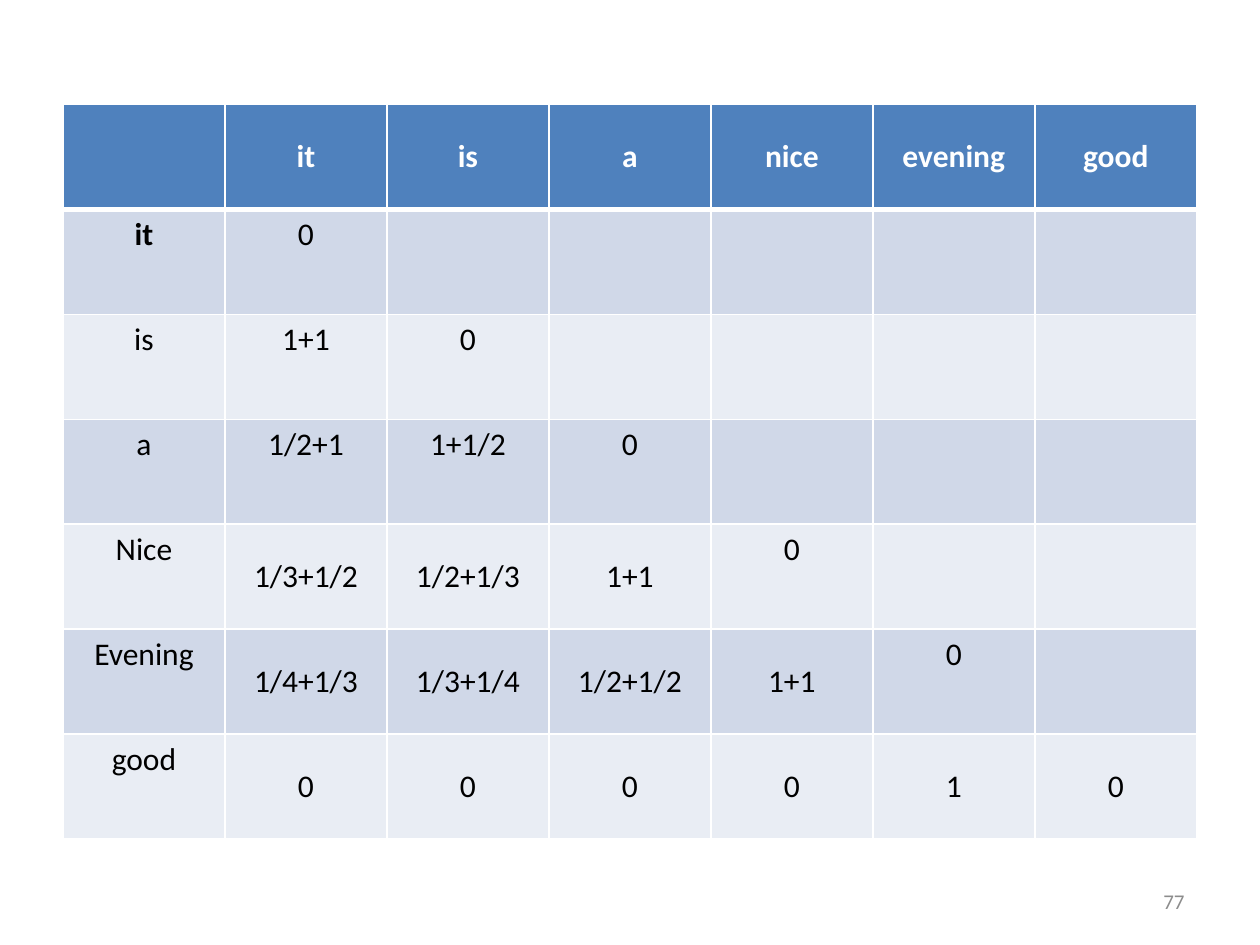
from lxml import etree
from pptx import Presentation
from pptx import util as u
from pptx.dml.color import RGBColor
from pptx.enum import text
from pptx.oxml import ns

COLORS = {
    "header": "4F81BD",
    "odd": "D0D8E8",
    "even": "E9EDF4",
    "white": "FFFFFF",
    "black": "000000",
    "number": "8C8C8C",
}
ROWS = [
    ["", "it", "is", "a", "nice", "evening", "good"],
    ["it", "0"],
    ["is", "1+1", "0"],
    ["a", "1/2+1", "1+1/2", "0"],
    ["Nice", "1/3+1/2", "1/2+1/3", "1+1", "0"],
    ["Evening", "1/4+1/3", "1/3+1/4", "1/2+1/2", "1+1", "0"],
    ["good", "0", "0", "0", "0", "1", "0"],
]
SIZE = len(ROWS)


def rgb(name):
    return RGBColor.from_string(COLORS[name])


def style_text(paragraph, size, color, alignment, bold=False):
    paragraph.alignment = alignment
    for run in paragraph.runs:
        run.font.name = "Calibri"
        run.font.size = u.Pt(size)
        run.font.bold = bold
        run.font.color.rgb = rgb(color)


def set_borders(cell, top, bottom):
    properties = cell._tc.get_or_add_tcPr()
    for side, width in (("L", 1), ("R", 1), ("T", top), ("B", bottom)):
        line = etree.SubElement(properties, ns.qn(f"a:ln{side}"), w=str(u.Pt(width)))
        fill = etree.SubElement(line, ns.qn("a:solidFill"))
        etree.SubElement(fill, ns.qn("a:srgbClr"), val=COLORS["white"])


def center_vertically(cell, inset):
    cell.vertical_anchor = text.MSO_ANCHOR.MIDDLE
    cell.margin_top = cell.margin_bottom = u.Inches(inset)


def format_cell(cell, row, column, value):
    header = row == 0
    set_borders(cell, 3 if row == 1 else 1, 3 if header else 1)
    cell.fill.solid()
    cell.fill.fore_color.rgb = rgb("header" if header else "odd" if row % 2 else "even")
    cell.margin_left = cell.margin_right = u.Inches(0.1)
    if header:
        center_vertically(cell, 0.1)
    elif row >= 4 and column and (column < row or row == SIZE - 1):
        center_vertically(cell, 0.15)
    cell.text_frame.text = value
    style_text(
        cell.text_frame.paragraphs[0],
        18,
        "white" if header else "black",
        text.PP_ALIGN.CENTER,
        header or (row, column) == (1, 0),
    )


def add_word_table(slide):
    table = slide.shapes.add_table(
        SIZE, SIZE, u.Inches(0.5), u.Inches(0.83), u.Inches(9), u.Inches(5.83)
    ).table
    for row, values in enumerate(ROWS):
        for column in range(SIZE):
            value = values[column] if column < len(values) else ""
            format_cell(table.cell(row, column), row, column, value)


def add_slide_number(slide):
    box = slide.shapes.add_textbox(
        u.Inches(7.17), u.Inches(6.95), u.Inches(2.33), u.Inches(0.4)
    )
    frame = box.text_frame
    frame.word_wrap = True
    frame.vertical_anchor = text.MSO_ANCHOR.MIDDLE
    frame.text = "77"
    style_text(frame.paragraphs[0], 12, "number", text.PP_ALIGN.RIGHT)


def main():
    presentation = Presentation()
    presentation.slide_width = u.Inches(10)
    presentation.slide_height = u.Inches(7.5)
    slide = presentation.slides.add_slide(presentation.slide_layouts[6])
    add_word_table(slide)
    add_slide_number(slide)
    presentation.save("out.pptx")


if __name__ == "__main__":
    main()
